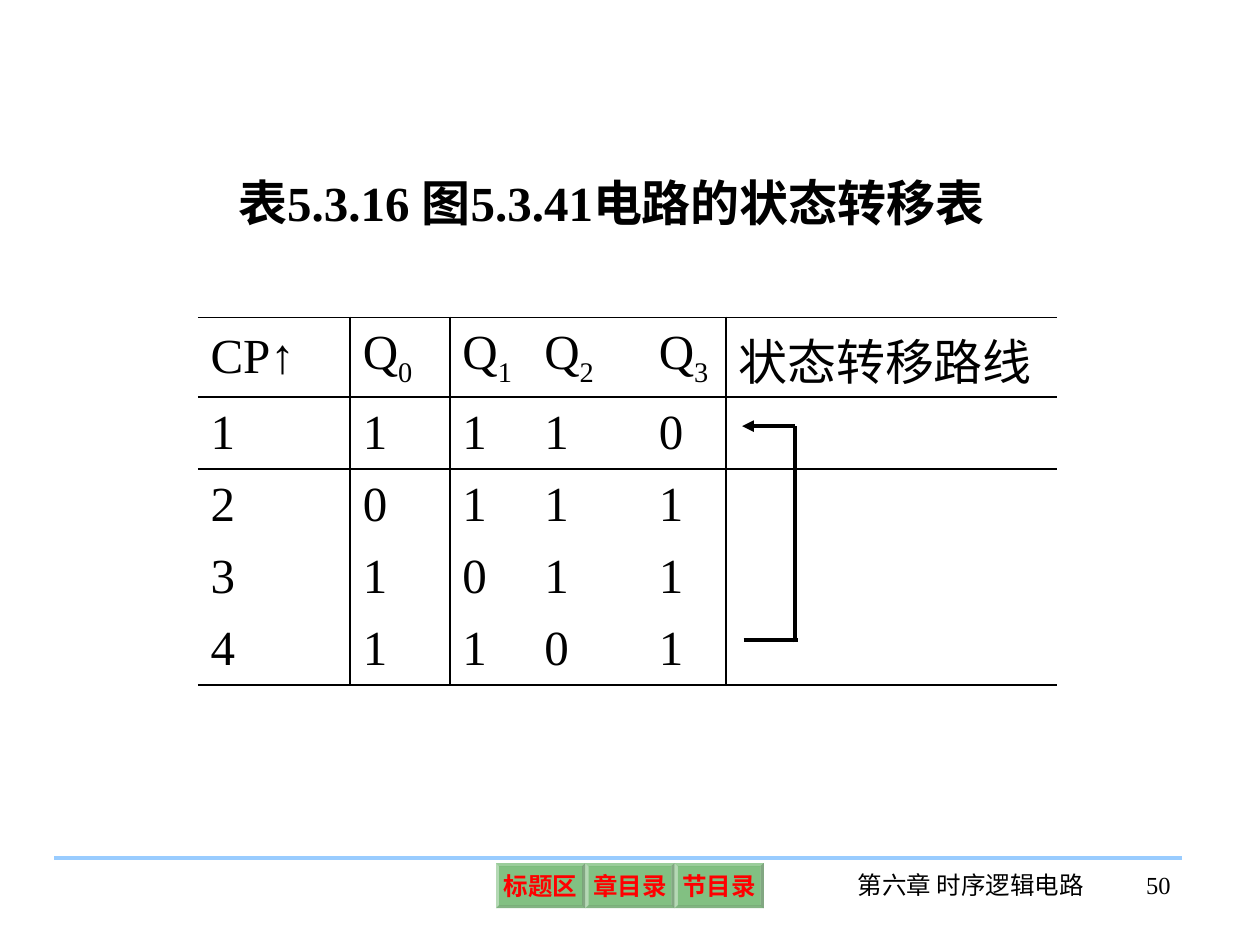
from lxml import etree
from pptx import Presentation
from pptx.dml.color import RGBColor as RGB
from pptx.enum.shapes import MSO_CONNECTOR as LINK, MSO_SHAPE as SHAPE
from pptx.enum.text import MSO_ANCHOR as ANCHOR, MSO_AUTO_SIZE as FIT, PP_ALIGN as ALIGN
from pptx.oxml.ns import qn
from pptx.util import Cm, Pt

INK = {"text": "000000", "rule": "99CCFF", "key": "008000", "label": "FF0000"}
FACE = "Times New Roman"
PLAIN = "{2D5ABB26-0587-4C30-8999-92F81FD0307C}"


def write(frame, text, size=14, ink="text", bold=False, align=ALIGN.LEFT, wrap=True, sub=""):
    """Fill a text frame with one paragraph, ending in an optional subscript."""
    frame.word_wrap = wrap
    para = frame.paragraphs[0]
    para.alignment = align
    for part in filter(None, (text, sub)):
        run = para.add_run()
        run.text = part
        font = run.font
        font.name, font.size, font.bold = FACE, Pt(size), bold
        font.color.rgb = RGB.from_string(INK[ink])
    if sub:
        run._r.get_or_add_rPr().set("baseline", "-25000")


def draw(x1, y1, x2, y2, ink="text", head=False):
    """Draw a straight line, lengths in cm."""
    link = slide.shapes.add_connector(LINK.STRAIGHT, Cm(x1), Cm(y1), Cm(x2), Cm(y2))
    link.line.color.rgb = RGB.from_string(INK[ink])
    link.line.width = Pt(2.25)
    if head:
        etree.SubElement(link.line._get_or_add_ln(), qn("a:tailEnd"), type="triangle")
    etree.SubElement(link._element.spPr, qn("a:effectLst"))


deck = Presentation()
deck.slide_width, deck.slide_height = Cm(25.4), Cm(19.05)
slide = deck.slides.add_slide(deck.slide_layouts[5])

# Title
title = slide.shapes.title
title.left, title.top, title.width, title.height = Cm(4.55), Cm(3.35), Cm(16.13), Cm(2.64)
title.text_frame.auto_size = FIT.NONE
title.text_frame.vertical_anchor = ANCHOR.TOP
write(title.text_frame, "表5.3.16 图5.3.41电路的状态转移表", size=28, bold=True)

# Footer
draw(1.09, 17.29, 23.83, 17.29, ink="rule")
for text, left, width, align in (
    ("第六章 时序逻辑电路", 16.92, 5.31, ALIGN.CENTER),
    ("50", 21.67, 2.18, ALIGN.RIGHT),
):
    box = slide.shapes.add_textbox(Cm(left), Cm(17.41), Cm(width), Cm(1.27))
    write(box.text_frame, text, align=align)

# State table
heads = [("CP↑", ""), ("Q", "0"), ("Q", "1"), ("Q", "2"), ("Q", "3"), ("状态转移路线", "")]
states = ["11110", "20111", "31011", "41101"]
rows = [heads] + [[(digit, "") for digit in state] + [("", "")] for state in states]
widths = [3.07, 2.01, 1.65, 2.31, 1.6, 6.68]
heights = [1.6] + [1.45] * len(states)
table = slide.shapes.add_table(
    len(rows), len(widths), Cm(3.99), Cm(6.4), Cm(sum(widths)), Cm(sum(heights))
).table
table.first_row = table.horz_banding = False
table._tbl.tblPr.find(qn("a:tableStyleId")).text = PLAIN
for col, width in zip(table.columns, widths):
    col.width = Cm(width)
for row, height in zip(table.rows, heights):
    row.height = Cm(height)

last = len(rows) - 1
for r, row in enumerate(rows):
    for c, (text, sub) in enumerate(row):
        cell = table.cell(r, c)
        cell.vertical_anchor = ANCHOR.MIDDLE
        write(cell.text_frame, text, size=28, sub=sub)
        edges = {"lnL": c in (1, 5), "lnR": c in (0, 4), "lnT": r in (0, 1), "lnB": r in (0, last)}
        for tag, shown in edges.items():
            if shown:
                edge = etree.SubElement(cell._tc.get_or_add_tcPr(), qn("a:" + tag), w=str(Pt(1.08)))
                fill = etree.SubElement(edge, qn("a:solidFill"))
                etree.SubElement(fill, qn("a:srgbClr"), val=INK["text"])
        cell.fill.background()

# Path from the last state back to the first
draw(14.99, 12.9, 16.08, 12.9)
draw(16.03, 12.95, 16.03, 8.59)
draw(16.03, 8.59, 14.96, 8.59, head=True)

# Navigation buttons
for i, text in enumerate(("标题区", "章目录", "节目录")):
    key = slide.shapes.add_shape(SHAPE.BEVEL, Cm(10 + 1.8 * i), Cm(17.4), Cm(1.8), Cm(0.91))
    key.adjustments[0] = 0.07
    key.shadow.inherit = False
    key.fill.solid()
    key.fill.fore_color.rgb = RGB.from_string(INK["key"])
    shade = key._element.spPr.find(qn("a:solidFill"))[0]
    etree.SubElement(shade, qn("a:alpha"), val="49000")
    key.line.fill.background()
    frame = key.text_frame
    frame.margin_left = frame.margin_right = frame.margin_top = frame.margin_bottom = Cm(0.1)
    frame.vertical_anchor = ANCHOR.MIDDLE
    write(frame, text, ink="label", bold=True, align=ALIGN.CENTER, wrap=False)

deck.save("out.pptx")
